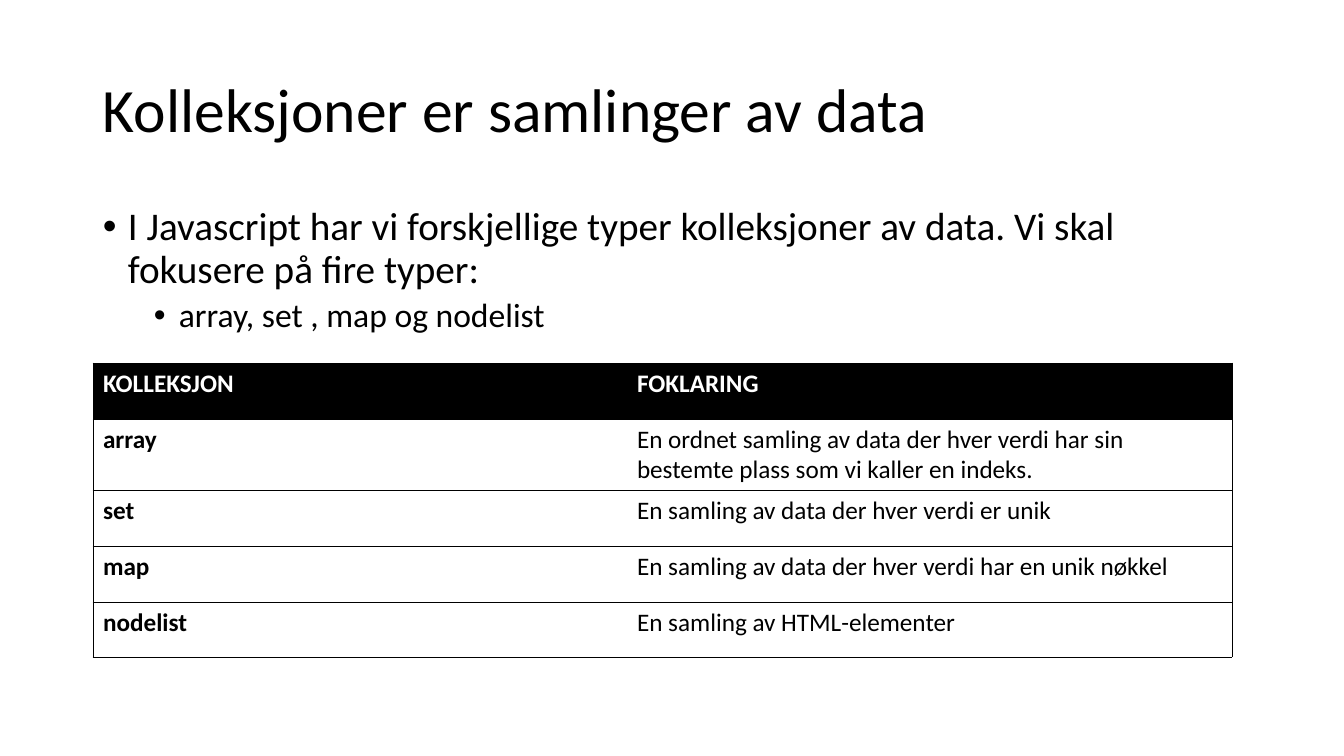
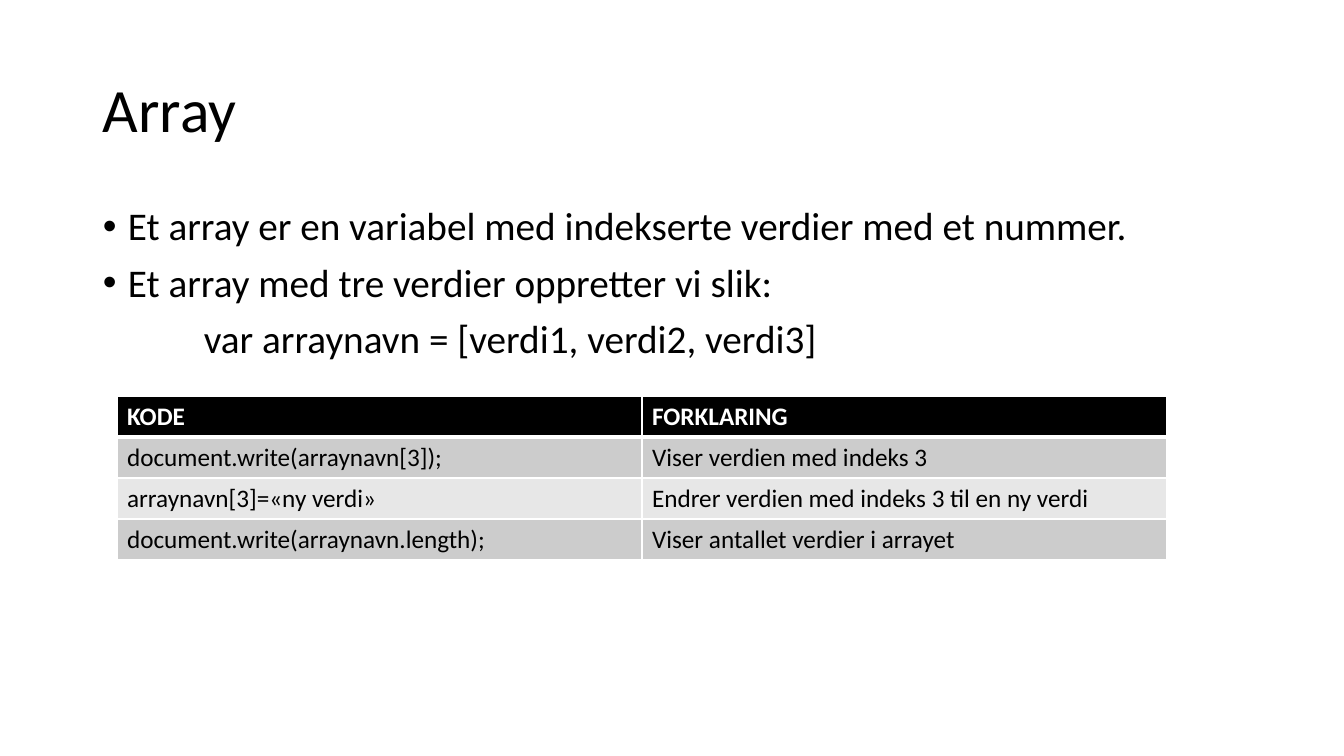
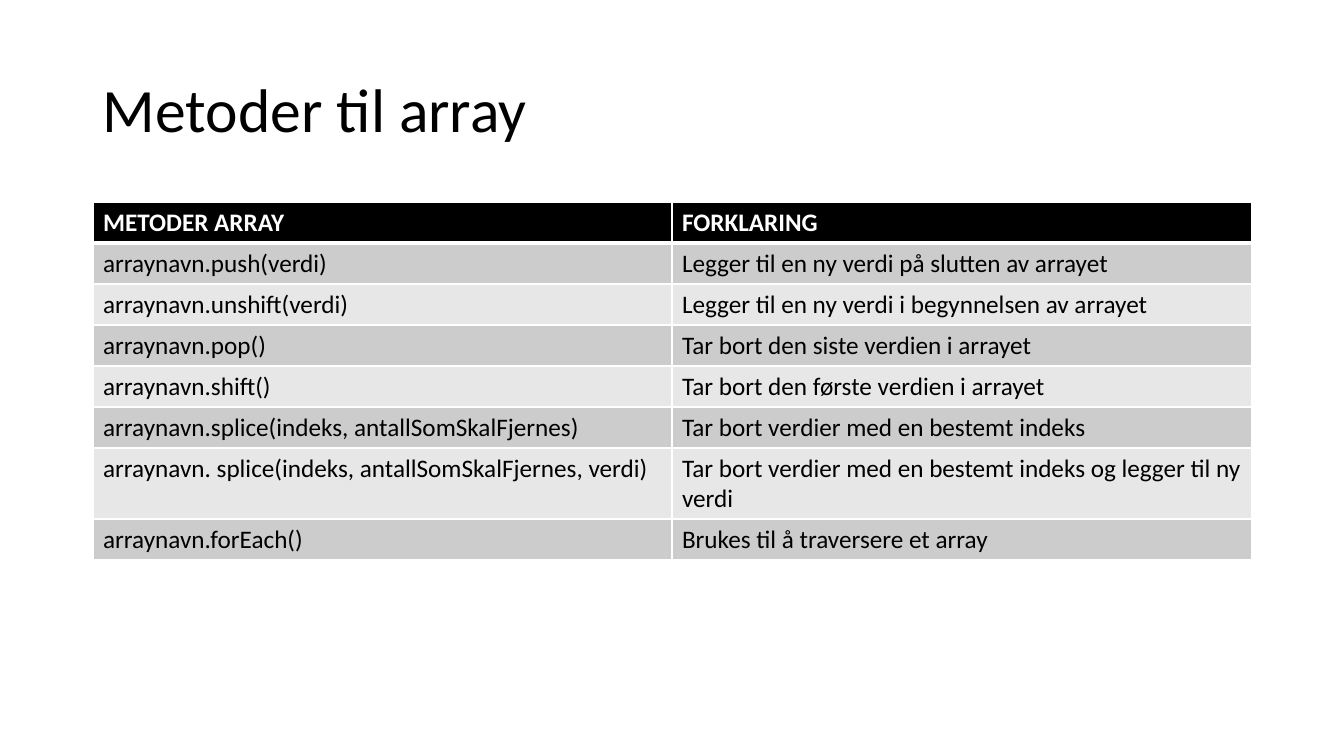
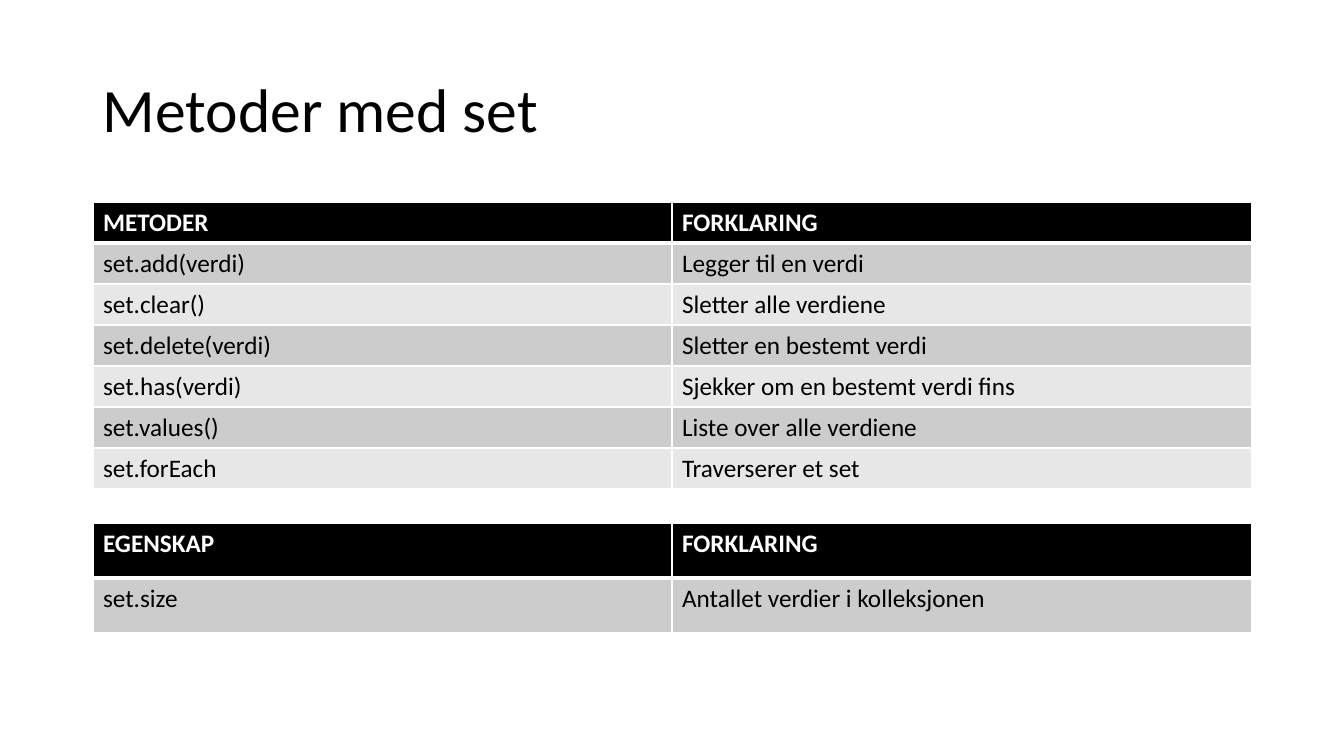
from lxml.etree import SubElement
from pptx import Presentation
from pptx.dml.color import RGBColor
from pptx.enum.text import MSO_ANCHOR
from pptx.oxml.ns import qn
from pptx.util import Pt

EMU_PER_PIXEL = 914400 / 100.8
SLIDE_SIZE = (1344, 756)
FONT = "Calibri"
BLACK = RGBColor(0x00, 0x00, 0x00)
WHITE = RGBColor(0xFF, 0xFF, 0xFF)
BANDS = (RGBColor(0xCC, 0xCC, 0xCC), RGBColor(0xE7, 0xE7, 0xE7))

TITLE_AREA = (93, 40, 1159, 146)
BODY_AREA = (93, 202, 1159, 480)
TITLE_SIZE = 44
TABLE_SIZE = 18
ROW = 41
TWO_LINE_ROW = 71

LEVELS = {
    "point": {"size": 28, "before": 10, "margin": 25, "indent": -25},
    "subpoint": {"size": 24, "before": 5, "margin": 76, "indent": -25},
    "code": {"size": 28, "before": 10, "margin": 101, "indent": 0},
}

SLIDES = [
    {
        "title": "Kolleksjoner er samlinger av data",
        "body": [
            ("point", "I Javascript har vi forskjellige typer kolleksjoner av data. "
                      "Vi skal fokusere på fire typer:"),
            ("subpoint", "array, set , map og nodelist"),
        ],
        "tables": [{
            "style": "ruled",
            "corner": (93, 363),
            "columns": (534, 605),
            "heights": [56, TWO_LINE_ROW, 56, 56, 55],
            "rows": [
                ("KOLLEKSJON", "FOKLARING"),
                ("array", "En ordnet samling av data der hver verdi har sin "
                          "bestemte plass som vi kaller en indeks."),
                ("set", "En samling av data der hver verdi er unik"),
                ("map", "En samling av data der hver verdi har en unik nøkkel"),
                ("nodelist", "En samling av HTML-elementer"),
            ],
        }],
    },
    {
        "title": "Array",
        "body": [
            ("point", "Et array er en variabel med indekserte verdier med et nummer."),
            ("point", "Et array med tre verdier oppretter vi slik:"),
            ("code", "var arraynavn = [verdi1, verdi2, verdi3]"),
        ],
        "tables": [{
            "style": "banded",
            "corner": (117, 396),
            "columns": (525, 525),
            "heights": [ROW] * 4,
            "rows": [
                ("KODE", "FORKLARING"),
                ("document.write(arraynavn[3]);", "Viser verdien med indeks 3"),
                ("arraynavn[3]=«ny verdi»", "Endrer verdien med indeks 3 til en ny verdi"),
                ("document.write(arraynavn.length);", "Viser antallet verdier i arrayet"),
            ],
        }],
    },
    {
        "title": "Metoder til array",
        "body": [],
        "tables": [{
            "style": "banded",
            "corner": (93, 202),
            "columns": (579, 580),
            "heights": [ROW] * 6 + [TWO_LINE_ROW, ROW],
            "rows": [
                ("METODER ARRAY", "FORKLARING"),
                ("arraynavn.push(verdi)", "Legger til en ny verdi på slutten av arrayet"),
                ("arraynavn.unshift(verdi)", "Legger til en ny verdi i begynnelsen av arrayet"),
                ("arraynavn.pop()", "Tar bort den siste verdien i arrayet"),
                ("arraynavn.shift()", "Tar bort den første verdien i arrayet"),
                ("arraynavn.splice(indeks, antallSomSkalFjernes)",
                 "Tar bort verdier med en bestemt indeks"),
                ("arraynavn. splice(indeks, antallSomSkalFjernes, verdi)",
                 "Tar bort verdier med en bestemt indeks og legger til ny verdi"),
                ("arraynavn.forEach()", "Brukes til å traversere et array"),
            ],
        }],
    },
    {
        "title": "Metoder med set",
        "body": [],
        "tables": [
            {
                "style": "banded",
                "corner": (93, 202),
                "columns": (579, 580),
                "heights": [ROW] * 7,
                "rows": [
                    ("METODER", "FORKLARING"),
                    ("set.add(verdi)", "Legger til en verdi"),
                    ("set.clear()", "Sletter alle verdiene"),
                    ("set.delete(verdi)", "Sletter en bestemt verdi"),
                    ("set.has(verdi)", "Sjekker om en bestemt verdi fins"),
                    ("set.values()", "Liste over alle verdiene"),
                    ("set.forEach", "Traverserer et set"),
                ],
            },
            {
                "style": "banded",
                "corner": (93, 523),
                "columns": (579, 580),
                "heights": [55, 55],
                "rows": [
                    ("EGENSKAP", "FORKLARING"),
                    ("set.size", "Antallet verdier i kolleksjonen"),
                ],
            },
        ],
    },
]


def px(length):
    return round(length * EMU_PER_PIXEL)


def format_runs(para, size, color=BLACK, bold=False):
    for span in para.runs:
        span.font.name = FONT
        span.font.size = Pt(size)
        span.font.bold = bold
        span.font.color.rgb = color


def add_text_area(page, area, lines):
    frame = page.shapes.add_textbox(*map(px, area)).text_frame
    frame.word_wrap = True
    frame.text = "\n".join(lines)
    for para in frame.paragraphs:
        para.line_spacing = 0.9
    return frame


def add_title(page, title):
    frame = add_text_area(page, TITLE_AREA, [title])
    frame.vertical_anchor = MSO_ANCHOR.MIDDLE
    format_runs(frame.paragraphs[0], TITLE_SIZE)


def add_body(page, body):
    frame = add_text_area(page, BODY_AREA, [line for _, line in body])
    for para, (kind, _) in zip(frame.paragraphs, body):
        level = LEVELS[kind]
        para.space_before = Pt(level["before"])
        format_runs(para, level["size"])
        properties = para._p.get_or_add_pPr()
        properties.set("marL", str(px(level["margin"])))
        properties.set("indent", str(px(level["indent"])))
        if level["indent"]:
            SubElement(properties, qn("a:buFont"), typeface="Arial")
            SubElement(properties, qn("a:buChar"), char="•")


def set_border(cell, side, width, color):
    line = SubElement(cell._tc.get_or_add_tcPr(), qn("a:ln" + side), w=str(Pt(width)))
    if width:
        fill = SubElement(line, qn("a:solidFill"))
        SubElement(fill, qn("a:srgbClr"), val=str(color))
    else:
        SubElement(line, qn("a:noFill"))


def border_widths(style, row, column, last_column):
    if style == "ruled":
        return {"L": 0 if column else 0.5, "R": 0.5 if column == last_column else 0,
                "T": 0.5, "B": 0.5}
    return {"L": 1, "R": 1, "T": 3 if row == 1 else 1, "B": 1 if row else 3}


def add_grid(page, content):
    style, rows, columns = content["style"], content["rows"], content["columns"]
    heights = content["heights"]
    area = (*content["corner"], sum(columns), sum(heights))
    table = page.shapes.add_table(len(rows), len(columns), *map(px, area)).table
    table.first_row = table.horz_banding = False
    ruled = style == "ruled"
    for column, width in zip(table.columns, columns):
        column.width = px(width)
    for r, (texts, height) in enumerate(zip(rows, heights)):
        table.rows[r].height = px(height)
        for c, text in enumerate(texts):
            cell = table.cell(r, c)
            cell.text_frame.text = text
            bold = r == 0 or (ruled and c == 0)
            format_runs(cell.text_frame.paragraphs[0], TABLE_SIZE, BLACK if r else WHITE, bold)
            for side, width in border_widths(style, r, c, len(columns) - 1).items():
                set_border(cell, side, width, BLACK if ruled else WHITE)
            if ruled and r:
                cell.fill.background()
            else:
                cell.fill.solid()
                cell.fill.fore_color.rgb = BANDS[(r - 1) % 2] if r else BLACK


deck = Presentation()
deck.slide_width, deck.slide_height = map(px, SLIDE_SIZE)
for content in SLIDES:
    page = deck.slides.add_slide(deck.slide_layouts[6])
    add_title(page, content["title"])
    if content["body"]:
        add_body(page, content["body"])
    for table_content in content["tables"]:
        add_grid(page, table_content)
deck.save("out.pptx")
